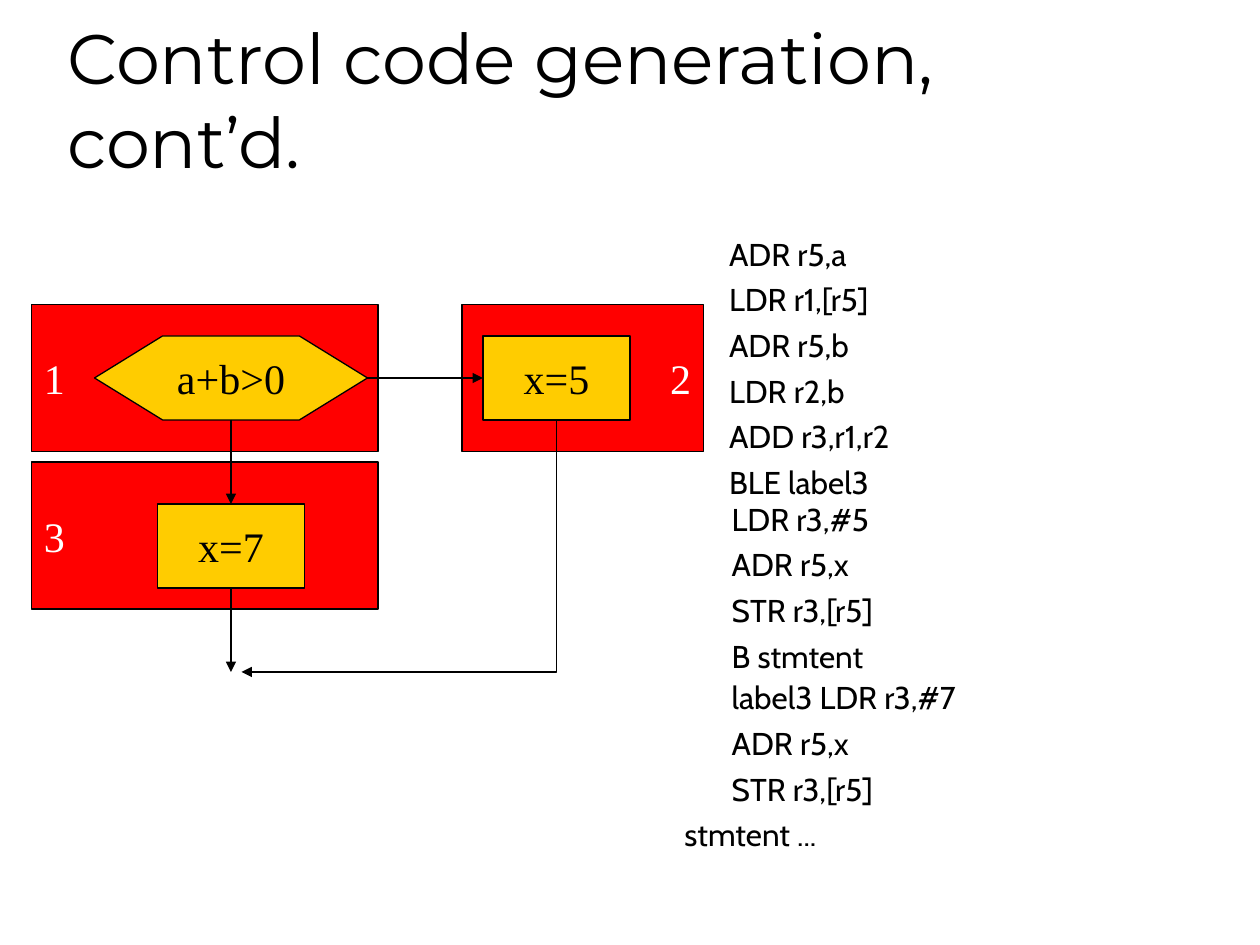
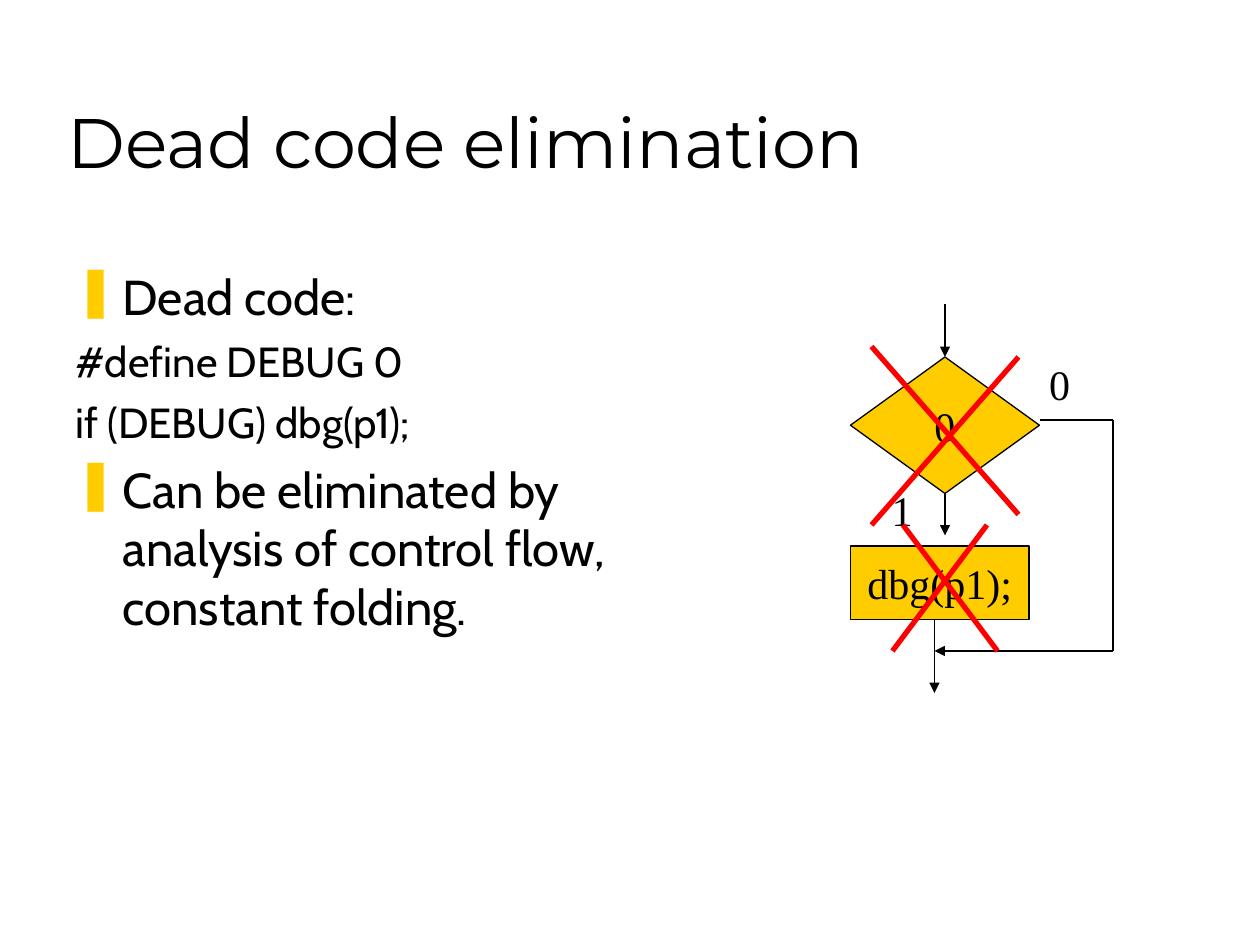
from dataclasses import dataclass
from typing import Any, Optional

from lxml import etree
from pptx import Presentation
from pptx import util as u
from pptx.dml.color import RGBColor
from pptx.enum import shapes as sh, text as tx
from pptx.oxml import ns

INK = {"black": "000000", "white": "FFFFFF", "red": "FF0000", "gold": "FFCC00"}
FONT = {"title": "Montserrat", "body": "Cabin", "node": "Times New Roman"}
COLS, ROWS = 120, 90  # one cell is a twelfth of an inch
CELL = u.Inches(10) // COLS
RECT = sh.MSO_SHAPE.RECTANGLE
LEFT, MID, RIGHT = tx.PP_ALIGN.LEFT, tx.PP_ALIGN.CENTER, tx.PP_ALIGN.RIGHT
HANG = 4.5


@dataclass
class Node:
    text: str
    col: float
    row: float
    wide: float
    high: float
    fill: str = "gold"
    ink: str = "black"
    align: Any = MID
    form: Any = RECT


@dataclass
class Edge:
    x1: float
    y1: float
    x2: float
    y2: float
    arrow: bool = True
    ink: str = "black"
    width: float = 0.75
    start: Optional[tuple[str, int]] = None  # node text and side
    stop: Optional[tuple[str, int]] = None


@dataclass
class Item:
    text: str
    size: float = 18
    space: float = 4.5
    indent: float = HANG
    bullet: bool = False


def grid(*cells: float) -> list[int]:
    return [round(c * CELL) for c in cells]


def color(name: str) -> RGBColor:
    return RGBColor.from_string(INK[name])


def style(font: Any, face: str, size: float, ink: str = "black") -> None:
    font.name, font.size = FONT[face], u.Pt(size)
    font.color.rgb = color(ink)


def add(parent: Any, tag: str, **attrs: str) -> Any:
    return etree.SubElement(parent, ns.qn(tag), attrs)


def title(slide: Any, words: str) -> None:
    frame = slide.shapes.add_textbox(*grid(5.25, 3, 102, 15)).text_frame
    frame.word_wrap = True
    frame.vertical_anchor = tx.MSO_ANCHOR.BOTTOM
    frame.text = words
    style(frame.paragraphs[0].runs[0].font, "title", 40)


def body(slide: Any, box: tuple[float, ...], items: list[Item]) -> None:
    frame = slide.shapes.add_textbox(*grid(*box)).text_frame
    frame.word_wrap = True
    for i, item in enumerate(items):
        para = frame.add_paragraph() if i else frame.paragraphs[0]
        para.text = item.text
        para.space_before = u.Pt(item.space if i else 0)
        props = para._p.get_or_add_pPr()
        left = grid(item.indent)[0]
        props.set("marL", str(left))
        props.set("indent", str(-left if item.bullet else 0))
        if item.bullet:
            add(add(props, "a:buClr"), "a:srgbClr", val=INK["gold"])
            add(props, "a:buChar", char="❚")
        else:
            add(props, "a:buNone")
        style(para.runs[0].font, "body", item.size)


def node(slide: Any, n: Node) -> Any:
    shape = slide.shapes.add_shape(n.form, *grid(n.col, n.row, n.wide, n.high))
    shape.shadow.inherit = False
    shape.fill.solid()
    shape.fill.fore_color.rgb = color(n.fill)
    shape.line.color.rgb = color("black")
    shape.line.width = u.Pt(0.75)
    frame = shape.text_frame
    frame.word_wrap = False
    frame.vertical_anchor = tx.MSO_ANCHOR.MIDDLE
    frame.text = n.text
    frame.paragraphs[0].alignment = n.align
    style(frame.paragraphs[0].runs[0].font, "node", 24, n.ink)
    return shape


def label(slide: Any, words: str, col: float, row: float) -> None:
    frame = slide.shapes.add_textbox(*grid(col, row, 4.3, 6)).text_frame
    frame.word_wrap = False
    frame.text = words
    style(frame.paragraphs[0].runs[0].font, "node", 24)


def edge(host: Any, e: Edge, nodes: dict[str, Any],
         kind: Any = sh.MSO_CONNECTOR.STRAIGHT) -> Any:
    line = host.shapes.add_connector(kind, *grid(e.x1, e.y1, e.x2, e.y2))
    if e.start:
        line.begin_connect(nodes[e.start[0]], e.start[1])
    if e.stop:
        line.end_connect(nodes[e.stop[0]], e.stop[1])
    line.line.color.rgb = color(e.ink)
    line.line.width = u.Pt(e.width)
    if e.arrow:
        add(line.line._get_or_add_ln(), "a:tailEnd", type="triangle")
    add(line._element.spPr, "a:effectLst")
    return line


def corner(host: Any, e: Edge) -> None:
    """Draw an arrow that runs down, then turns left."""
    wide, high = e.x1 - e.x2, e.y2 - e.y1
    x, y = (e.x1 + e.x2) / 2, (e.y1 + e.y2) / 2
    turned = Edge(x - high / 2, y - wide / 2, x + high / 2, y + wide / 2)
    props = edge(host, turned, {}, sh.MSO_CONNECTOR.ELBOW)._element.spPr
    props.find(ns.qn("a:xfrm")).set("rot", str(90 * 60000))
    props.find(ns.qn("a:prstGeom")).set("prst", "bentConnector2")


def control(slide: Any) -> None:
    title(slide, "Control code generation, cont’d.")

    # Basic blocks and the nodes inside them
    for block in (Node("3", 3, 44, 33, 14, "red", "white", LEFT),
                  Node("2", 44, 29, 23, 14, "red", "white", RIGHT),
                  Node("1", 3, 29, 33, 14, "red", "white", LEFT)):
        node(slide, block)
    steps = (Node("a+b>0", 9, 32, 26, 8, form=sh.MSO_SHAPE.HEXAGON),
             Node("x=5", 46, 32, 14, 8),
             Node("x=7", 15, 48, 14, 8))
    nodes = {n.text: node(slide, n) for n in steps}
    nodes["a+b>0"].adjustments[0] = 0.81

    # Control flow
    for e in (Edge(35, 36, 46, 36, stop=("x=5", 1)),
              Edge(22, 40, 22, 48, stop=("x=7", 0)),
              Edge(22, 56, 22, 64, start=("x=7", 2))):
        edge(slide, e, nodes)
    corner(slide, Edge(53, 40, 23, 64))

    # Code of each block
    listings = (
        ((63.75, 21.75, 52.75, 26.25),
         ("ADR r5,a", "LDR r1,[r5]", "ADR r5,b", "LDR r2,b",
          "ADD r3,r1,r2", "BLE label3")),
        ((64, 47, 52.75, 18),
         ("LDR r3,#5", "ADR r5,x", "STR r3,[r5]", "B stmtent")),
        ((64, 64, 52.75, 18),
         ("label3 LDR r3,#7", "ADR r5,x", "STR r3,[r5]", "stmtent ...")),
    )
    for box, lines in listings:
        body(slide, box, [Item(t, indent=0 if t == "stmtent ..." else HANG)
                          for t in lines])


def dead(slide: Any) -> None:
    title(slide, "Dead code elimination")
    body(slide, (6, 24.75, 52.75, 54.75), [
        Item("Dead code:", 28, 7, bullet=True),
        Item("#define DEBUG 0", 24, 6, 0),
        Item("if (DEBUG) dbg(p1);", 24, 6, 0),
        Item("Can be eliminated by analysis of control flow, "
             "constant folding.", 28, 7, bullet=True),
    ])

    # Test and call, with the flow between them
    steps = (Node("0", 81, 34, 18, 13, form=sh.MSO_SHAPE.DIAMOND),
             Node("dbg(p1);", 81, 52, 17, 7))
    nodes = {n.text: node(slide, n) for n in steps}
    for e in (Edge(90, 47, 90, 51, start=("0", 2)),
              Edge(90, 29, 90, 34, stop=("0", 0)),
              Edge(89, 59, 89, 66),
              Edge(99, 40, 106, 40, arrow=False),
              Edge(106, 40, 106, 62, arrow=False),
              Edge(106, 62, 89, 62)):
        edge(slide, e, nodes)
    label(slide, "1", 83.75, 45.6)
    label(slide, "0", 98.75, 33.6)

    # Crosses over the dead parts
    for cross in (((85, 62, 94, 50), (95, 62, 86, 50)),
                  ((83, 50, 97, 34), (97, 49, 83, 33))):
        group = slide.shapes.add_group_shape()
        for ends in cross:
            edge(group, Edge(*ends, arrow=False, ink="red", width=3), nodes)


def main() -> None:
    deck = Presentation()
    deck.slide_width, deck.slide_height = grid(COLS, ROWS)
    for draw in (control, dead):
        draw(deck.slides.add_slide(deck.slide_layouts[6]))
    deck.save("out.pptx")


if __name__ == "__main__":
    main()
